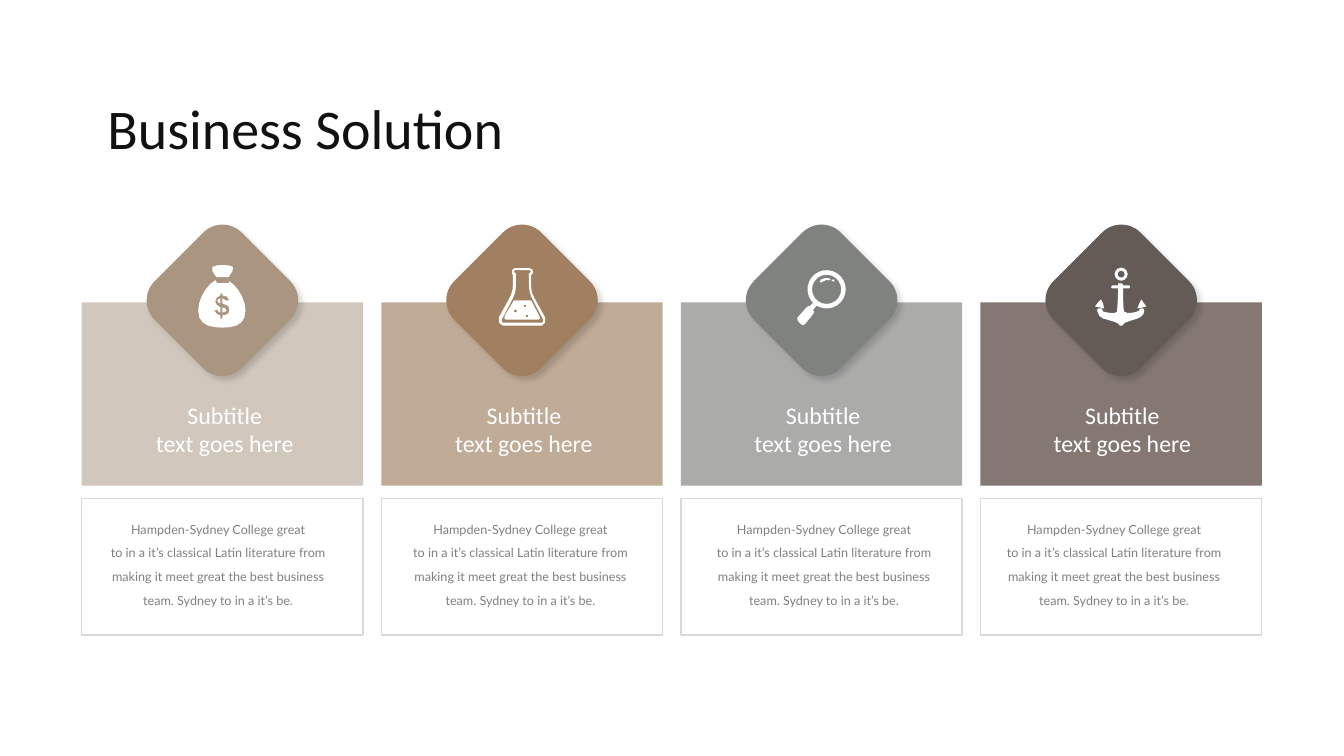
from dataclasses import dataclass
from math import cos, dist, sin, tau

from lxml.etree import SubElement as SubEl
from pptx import Presentation
from pptx.dml.color import RGBColor as RGB
from pptx.enum.shapes import MSO_SHAPE as Kind
from pptx.enum.text import MSO_AUTO_SIZE as Fit, PP_ALIGN as Align
from pptx.oxml.ns import qn
from pptx.shapes.autoshape import Shape
from pptx.slide import Slide
from pptx.util import Cm, Pt

WHITE = RGB(0xFF, 0xFF, 0xFF)
INK = RGB(0x11, 0x11, 0x11)
GREY = RGB(0x80, 0x80, 0x80)
RULE = RGB(0xD9, 0xD9, 0xD9)
SAND = RGB(0xD2, 0xC7, 0xBC)
TAN = RGB(0xC0, 0xAB, 0x96)
ASH = RGB(0xAB, 0xAC, 0xAA)
MAUVE = RGB(0x85, 0x78, 0x73)
DUNE = RGB(0xAA, 0x95, 0x80)
BRONZE = RGB(0xA0, 0x80, 0x61)
STEEL = RGB(0x80, 0x82, 0x7F)
UMBER = RGB(0x64, 0x5A, 0x56)

LEFT, PITCH, WIDTH = 2.06, 7.55, 7.09
MID, SIDE = 7.57, 3.1
UNIT = Cm(2.54) // 100

Point = tuple[float, float]

BAG = (
    "M-5,0 L-4,2 L-2,3 L-2,-2 L-4,-1",
    "M0,7 L0,12 L3,11 L4,10 L3,8",
    "M6,-23 L10,-29 C14,-35,6,-35,0,-35 C-5,-35,-13,-35,-10,-29 L-6,-23",
    "M6,13 C4,14,3,15,0,15 L0,18 L-2,18 L-2,15 C-5,14,-7,13,-8,10 L-5,9 "
    "L-4,11 L-2,12 L-2,7 L-6,4 L-7,1 C-7,-2,-5,-4,-2,-5 L-2,-7 L0,-7 L0,-5 "
    "C4,-5,6,-3,7,0 L3,0 L2,-1 L0,-2 L0,3 L5,5 L6,6 L7,9 L6,13 "
    "M7,-19 L6,-17 L-5,-17 L-7,-20 "
    "C-16,-15,-24,-1,-24,10 C-24,24,-13,27,0,27 C13,27,23,24,23,10 "
    "C23,-1,15,-14,7,-19",
)
FLASK = (
    "M-7,-30 L-8,-29 L-7,-27 L-6,-27 L-6,-15 C-6,-10,-7,-6,-9,-2 L-20,19 "
    "L-20,21 L-19,22 L20,22 L21,21 L21,19 L10,-2 C8,-6,7,-10,7,-15 "
    "L7,-27 L8,-27 L9,-29 L7,-30 "
    "M20,25 L-19,25 C-20,25,-22,24,-23,22 C-24,21,-24,19,-23,17 L-12,-3 "
    "C-10,-7,-9,-11,-9,-15 L-9,-25 L-10,-27 L-10,-29 L-9,-31 L-7,-32 L7,-32 "
    "L10,-31 L11,-29 L11,-27 L9,-25 L9,-15 C9,-11,10,-6,12,-3 L23,17 "
    "C24,19,24,21,23,22 C22,24,21,25,20,25",
    "O5,15.5,1.3 O3,5.5,1.3 O-6.5,10.5,1.5 "
    "M17,15 L9,0 L-8,0 L-17,15 L-17.5,18 L-16,19 L16,19 L18,18",
)
LENS = (
    "O5,-11,19 O5,-11,14.5",
    "M-9,10 L-13,7 L-7,1 L-3,3",
    "M-16,23 L-18,24.5 L-20,24 L-23,21 L-24,19 L-24,17 L-15,7 "
    "L-13,5.5 L-11,6 L-9,9 L-7.5,11 L-8,13",
    "M9,-21 L8,-20 L4,-20 C1,-19,-2,-16,-2,-18 C-3,-20,1,-22,3,-22 L7,-22",
    "M13,-19 L11,-19 L10,-20 L12,-21",
)
ANCHOR = (
    "O0,-26,6.5 O0,-26,3.5",
    "M-20,-1 L-23,2 L-26,6 L-21,7 L-17,8 L-18,3",
    "M25,6 L22,2 L20,-1 L18,3 L16,8 L21,7",
    "M23,10 L22,8 L19,8 L18,10 L16,11 C14,12,4,14,3,11 "
    "C2,9,2,-2,2,-12 L8,-12 L9,-13 L8,-15 L2,-15 L1,-17 L-3,-17 L-3,-15 "
    "L-9,-15 L-10,-13 L-9,-12 L-3,-12 C-3,-2,-4,9,-4,11 "
    "C-5,14,-15,12,-18,11 L-19,8 L-23,8 L-24,10 C-24,14,-20,17,-18,18 "
    "L-14,19 C-9,21,-4,21,-1,25 L1,25 C3,21,8,21,13,19 "
    "L16,18 C20,17,23,14,23,10",
)

HEAD = "Subtitle\ntext goes here"
BODY = (
    "Hampden-Sydney College great\n"
    "to in a it’s classical Latin literature from\n"
    "making it meet great the best business\n"
    "team. Sydney to in a it’s be."
)


@dataclass
class Card:
    back: RGB
    badge: RGB
    icon: tuple[str, ...]
    note: float


@dataclass
class Style:
    font: str
    size: int
    lead: int
    color: RGB
    align: Align


TITLE = Style("Calibri", 40, 45, INK, Align.LEFT)
LABEL = Style("Calibri", 17, 20, WHITE, Align.CENTER)
NOTE = Style("Lato", 9, 17, GREY, Align.CENTER)
CARDS = (
    Card(SAND, DUNE, BAG, 2.46),
    Card(TAN, BRONZE, FLASK, 10.08),
    Card(ASH, STEEL, LENS, 17.73),
    Card(MAUVE, UMBER, ANCHOR, 25.04),
)


def paint(shape: Shape, color: RGB) -> None:
    shape.shadow.inherit = False
    shape.fill.solid()
    shape.fill.fore_color.rgb = color
    shape.line.fill.background()


def write(slide: Slide, text: str, style: Style,
          x: float, y: float, w: float, h: float) -> None:
    frame = slide.shapes.add_textbox(Cm(x), Cm(y), Cm(w), Cm(h)).text_frame
    frame.word_wrap = True
    frame.auto_size = Fit.SHAPE_TO_FIT_TEXT
    frame.text = text
    for para in frame.paragraphs:
        para.alignment = style.align
        para.line_spacing = Pt(style.lead)
        for run in para.runs:
            run.font.name = style.font
            run.font.size = Pt(style.size)
            run.font.color.rgb = style.color


def bend(a: Point, b: Point, c: Point, d: Point) -> list[Point]:
    def at(t: float, i: int) -> float:
        s = 1 - t
        return s**3 * a[i] + 3 * s * s * t * b[i] + 3 * s * t * t * c[i] + t**3 * d[i]
    steps = max(1, min(5, round(dist(a, d) / 4)))
    return [(at(k / steps, 0), at(k / steps, 1)) for k in range(1, steps + 1)]


def trace(outline: str) -> list[list[Point]]:
    loops: list[list[Point]] = []
    for step in outline.split():
        nums = [float(n) for n in step[1:].split(",")]
        if step[0] == "O":
            x, y, r = nums
            count = int(6 + r)
            turns = [tau * k / count for k in range(count)]
            loops.append([(x + r * cos(t), y + r * sin(t)) for t in turns])
            continue
        pts = list(zip(nums[::2], nums[1::2]))
        if step[0] == "M":
            loops.append(pts)
        elif step[0] == "L":
            loops[-1].extend(pts)
        else:
            loops[-1].extend(bend(loops[-1][-1], *pts))
    return [[(x * UNIT, y * UNIT) for x, y in loop] for loop in loops]


def add_icon(slide: Slide, icon: tuple[str, ...], x: float) -> None:
    for outline in icon:
        first, *rest = trace(outline)
        pen = slide.shapes.build_freeform(*first[0])
        pen.add_line_segments(first[1:])
        for loop in rest:
            pen.move_to(*loop[0])
            pen.add_line_segments(loop[1:])
        paint(pen.convert_to_shape(Cm(x), Cm(MID)), WHITE)


def add_badge(slide: Slide, color: RGB, x: float) -> None:
    half = SIDE / 2
    badge = slide.shapes.add_shape(Kind.ROUNDED_RECTANGLE, Cm(x - half), Cm(MID - half),
                                   Cm(SIDE), Cm(SIDE))
    badge.adjustments[0] = 0.22
    badge.rotation = 45
    paint(badge, color)
    glow = SubEl(badge.element.spPr.find(qn("a:effectLst")), qn("a:outerShdw"),
                 blurRad=str(Pt(4)), dist=str(Pt(4)), dir="2700000",
                 algn="tl", rotWithShape="0")
    tint = SubEl(glow, qn("a:srgbClr"), val="000000")
    SubEl(tint, qn("a:alpha"), val="15000")


def add_card(slide: Slide, card: Card, i: int) -> None:
    x = LEFT + i * PITCH
    mid = x + WIDTH / 2
    rect = slide.shapes.add_shape
    paint(rect(Kind.RECTANGLE, Cm(x), Cm(7.62), Cm(WIDTH), Cm(4.62)), card.back)
    add_badge(slide, card.badge, mid)
    add_icon(slide, card.icon, mid)
    write(slide, HEAD, LABEL, 2.87 + 7.54 * i, 9.98, 5.59, 1.68)
    write(slide, BODY, NOTE, card.note, 12.8, 6.07, 2.54)
    box = rect(Kind.RECTANGLE, Cm(x), Cm(12.57), Cm(WIDTH), Cm(3.43))
    box.shadow.inherit = False
    box.fill.background()
    box.line.color.rgb = RULE
    box.line.width = Pt(1)


def main() -> None:
    deck = Presentation()
    deck.slide_width, deck.slide_height = Cm(33.87), Cm(19.05)
    slide = deck.slides.add_slide(deck.slide_layouts[6])
    write(slide, "Business Solution", TITLE, 2.46, 2.34, 17.6, 1.88)
    for i, card in enumerate(CARDS):
        add_card(slide, card, i)
    deck.save("out.pptx")


if __name__ == "__main__":
    main()
